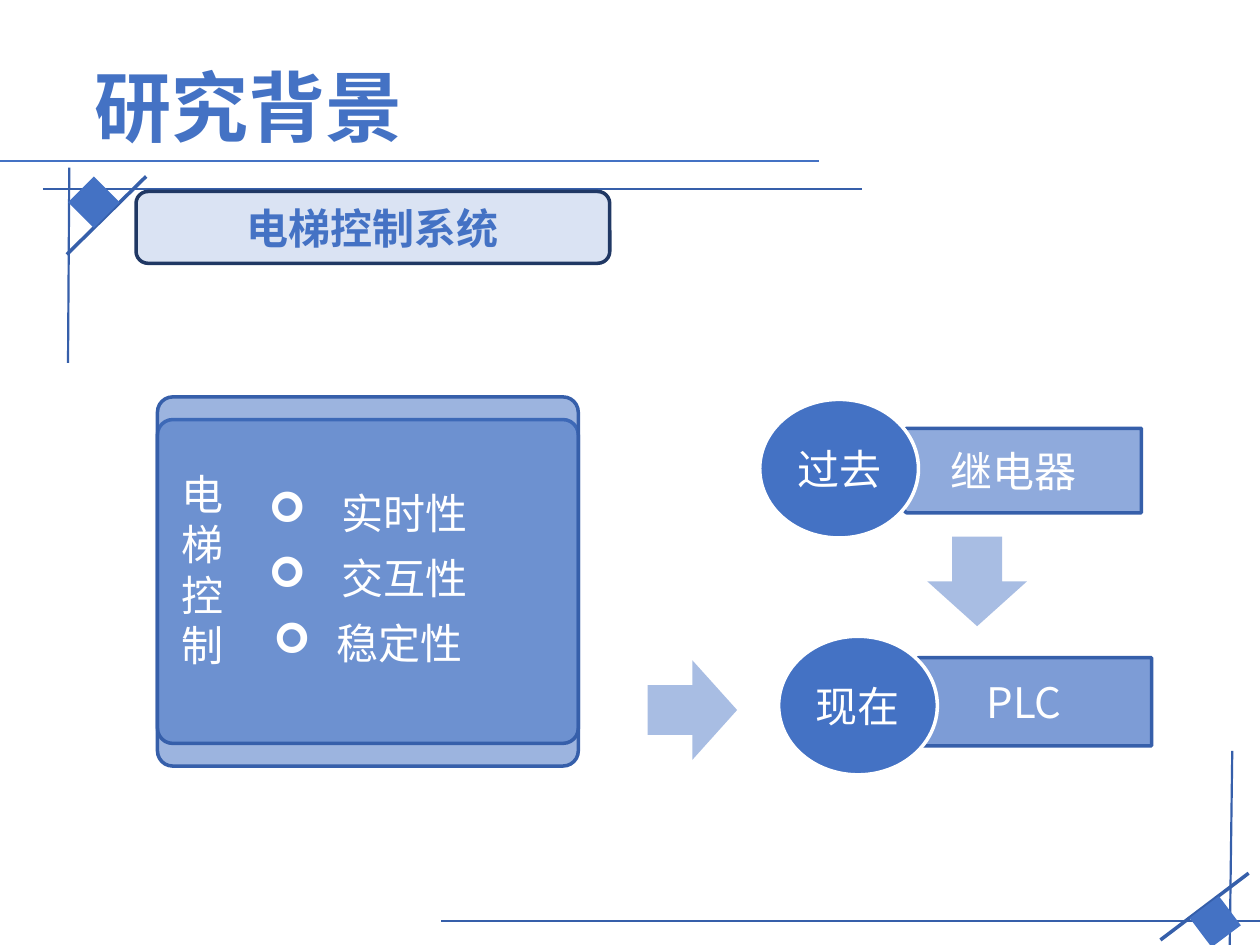
from lxml import etree
from pptx import Presentation
from pptx import util as u
from pptx.dml.color import RGBColor
from pptx.enum import shapes, text
from pptx.oxml.ns import qn

FONT = "Noto Sans CJK SC"
HUE = dict(blue="4472C4", edge="365FAA", navy="203864", pale="DAE3F3",
           past="8FAADC", now="7D9CD6", arrow="A8BDE3", white="FFFFFF")
KIND = shapes.MSO_SHAPE
CENTER, LEFT = text.PP_ALIGN.CENTER, text.PP_ALIGN.LEFT

deck = Presentation()
deck.slide_width, deck.slide_height = u.Inches(10), u.Inches(7.5)
slide = deck.slides.add_slide(deck.slide_layouts[6])
cell = deck.slide_width // 100  # grid of 100 columns by 75 rows


def draw(kind, box, fill, line=None, turn=0, flip=False):
    """Add a preset shape; box is left, top, width, height in grid cells."""
    shape = slide.shapes.add_shape(kind, *[round(n * cell) for n in box])
    shape.shadow.inherit = False
    shape.rotation = turn
    shape.fill.solid()
    shape.fill.fore_color.rgb = RGBColor.from_string(HUE[fill])
    if line:
        shape.line.color.rgb = RGBColor.from_string(HUE[line])
        shape.line.width = u.Pt(2)
    else:
        shape.line.fill.background()
    if flip:
        shape._element.spPr.find(qn("a:xfrm")).set("flipH", "1")
    return shape


def write(shape, lines, hue="white", size=24, bold=False, align=CENTER, mark=None):
    """Fill a shape with one paragraph per line, bulleted if mark is given."""
    frame = shape.text_frame
    for i, words in enumerate(lines):
        para = frame.paragraphs[0] if i == 0 else frame.add_paragraph()
        para.alignment = align
        if mark:
            para.line_spacing = 1.3
            props = para._p.get_or_add_pPr()
            props.set("marL", str(5 * cell))
            props.set("indent", str(-5 * cell))
            etree.SubElement(props, qn("a:buFont")).set("typeface", "Wingdings")
            etree.SubElement(props, qn("a:buChar")).set("char", mark)
        run = para.add_run()
        run.text = words
        style = dict(name=FONT, size=u.Pt(size), bold=bold)
        for key, value in style.items():
            setattr(run.font, key, value)
        run.font.color.rgb = RGBColor.from_string(HUE[hue])
        etree.SubElement(run._r.get_or_add_rPr(), qn("a:ea")).set("typeface", FONT)


# Frame lines: start, end, colour, width
rules = [
    (0, 12.8, 65, 12.8, "blue", 1.25),
    (11.6, 14, 5.3, 20.2, "edge", 2),
    (3.4, 15, 68.4, 15, "edge", 1.25),
    (5.4, 28.8, 5.5, 13.3, "edge", 1.25),
    (97.6, 75, 97.8, 59.6, "edge", 1.25),
    (35, 73.1, 100, 73.1, "edge", 1.25),
    (92.1, 74.6, 99.1, 69.3, "edge", 2),
]
for *ends, hue, width in rules:
    rule = slide.shapes.add_connector(
        shapes.MSO_CONNECTOR.STRAIGHT, *[round(n * cell) for n in ends])
    rule.line.color.rgb = RGBColor.from_string(HUE[hue])
    rule.line.width = u.Pt(width)
    etree.SubElement(rule._element.spPr, qn("a:effectLst"))

# Corner diamonds
for left, top, turn in [(6, 14.6, 45), (95, 71.7, 53.1)]:
    draw(KIND.RECTANGLE, (left, top, 2.9, 2.9), "blue", turn=turn)

# Title and heading
title = slide.shapes.add_textbox(*[round(n * cell) for n in (6.5, 4.2, 80.3, 7.1)])
title.text_frame.word_wrap = True
write(title, ["研究背景"], "blue", 44, True, LEFT)
head = draw(KIND.ROUNDED_RECTANGLE, (10.8, 15.2, 37.6, 5.7), "pale", "navy")
write(head, ["电梯控制系统"], "blue", bold=True)

# Past and present
stages = [
    ("过去", "继电器", "past", (60.3, 31.7), (68.6, 34, 22, 6.7)),
    ("现在", "PLC", "now", (61.8, 50.5), (69.4, 52.2, 22, 7)),
]
for when, what, hue, spot, box in stages:
    write(draw(KIND.PENTAGON, box, hue, "edge", flip=True), [what])
    disc = draw(KIND.OVAL, (*spot, 12.6, 11), "blue", "white")
    write(disc, [when])

# Arrows
for left, top, turn in [(74, 42.2, 90), (51.4, 52.4, 0)]:
    draw(KIND.RIGHT_ARROW, (left, top, 7.1, 7.9), "arrow", turn=turn)

# Overlapping translucent panels
for top in (33.3, 31.5):
    panel = draw(KIND.ROUNDED_RECTANGLE, (12.5, top, 33.4, 27.5), "blue", "edge")
    panel.adjustments[0] = 0.044
    tint = panel._element.spPr.find(qn("a:solidFill"))[0]
    etree.SubElement(tint, qn("a:alpha")).set("val", "53000")
write(panel, [" 实时性", " 交互性", "稳定性"], mark="➢")

side = slide.shapes.add_textbox(*[round(n * cell) for n in (13.4, 36.7, 5.3, 16.6)])
side.text_frame.word_wrap = False
write(side, "电梯控制", align=LEFT)

deck.save("out.pptx")
